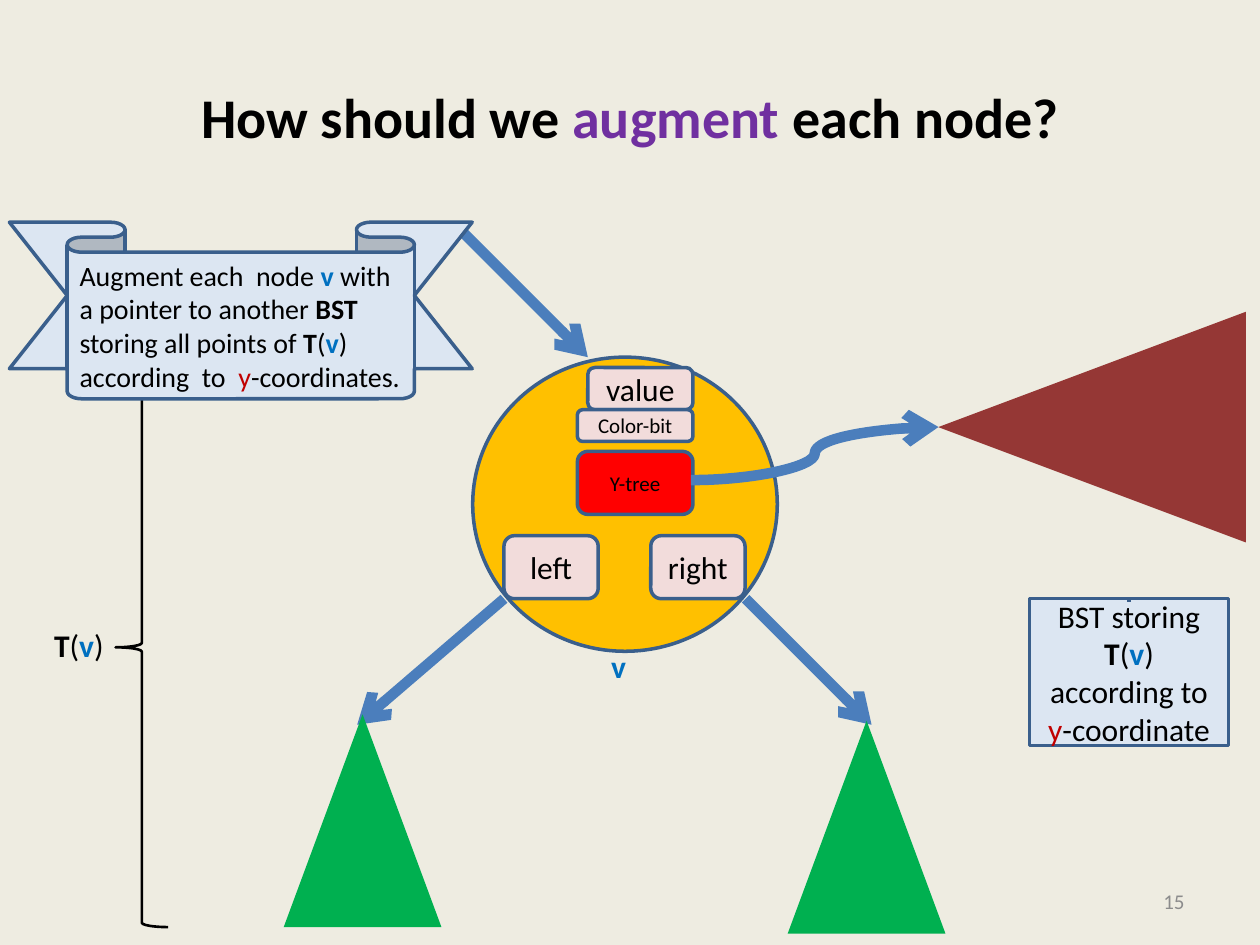
from lxml import etree
from pptx import Presentation
from pptx.dml.color import RGBColor
from pptx.enum.shapes import MSO_CONNECTOR as Connector, MSO_SHAPE as Shape
from pptx.enum.text import MSO_ANCHOR as Anchor, MSO_AUTO_SIZE as AutoSize, PP_ALIGN as Align
from pptx.oxml.ns import qn
from pptx.util import Cm, Pt

BLACK = RGBColor(0x00, 0x00, 0x00)
GRAY = RGBColor(0x8C, 0x8C, 0x8C)
BEIGE = RGBColor(0xEE, 0xEC, 0xE1)
PURPLE = RGBColor(0x70, 0x30, 0xA0)
BLUE = RGBColor(0x00, 0x70, 0xC0)
DARK_RED = RGBColor(0xC0, 0x00, 0x00)
GOLD = RGBColor(0xFF, 0xC0, 0x00)
PINK = RGBColor(0xF2, 0xDC, 0xDB)
RED = RGBColor(0xFF, 0x00, 0x00)
GREEN = RGBColor(0x00, 0xB0, 0x50)
MAROON = RGBColor(0x95, 0x37, 0x35)
PALE_BLUE = RGBColor(0xDC, 0xE6, 0xF2)
OUTLINE = RGBColor(0x3A, 0x5F, 0x8C)
ARROW = RGBColor(0x4B, 0x7E, 0xBC)

# Runs for the notation T(v): text, colour, bold
SUBTREE = [("T", BLACK, True), ("(", BLACK, False), ("v", BLUE, True)]


def write_text(shape, runs, size=18, align=Align.CENTER, anchor=Anchor.MIDDLE, wrap=True):
    """Fill a shape with one paragraph; runs is a string or (text, colour, bold) tuples."""
    frame = shape.text_frame
    frame.word_wrap = wrap
    frame.auto_size = AutoSize.NONE if wrap else AutoSize.SHAPE_TO_FIT_TEXT
    frame.vertical_anchor = anchor
    paragraph = frame.paragraphs[0]
    paragraph.alignment = align
    if isinstance(runs, str):
        runs = [(runs, BLACK, False)]
    for text, color, bold in runs:
        run = paragraph.add_run()
        run.text = text
        run.font.name = "Calibri"
        run.font.size = Pt(size)
        run.font.bold = bold
        run.font.color.rgb = color


def add_box(slide, kind, left, top, width, height, fill=None, line=OUTLINE, weight=2):
    shape = slide.shapes.add_shape(kind, Cm(left), Cm(top), Cm(width), Cm(height))
    shape.shadow.inherit = False
    if fill is None:
        shape.fill.background()
    else:
        shape.fill.solid()
        shape.fill.fore_color.rgb = fill
    if line is None:
        shape.line.fill.background()
    else:
        shape.line.color.rgb = line
        shape.line.width = Pt(weight)
    return shape


def add_label(slide, left, top, width, height, runs, **text_format):
    box = slide.shapes.add_textbox(Cm(left), Cm(top), Cm(width), Cm(height))
    write_text(box, runs, **text_format)


def add_arrow(slide, start, end, kind=Connector.STRAIGHT):
    points = [Cm(value) for value in (*start, *end)]
    connector = slide.shapes.add_connector(kind, *points)
    connector.line.color.rgb = ARROW
    connector.line.width = Pt(6)
    etree.SubElement(connector.line._get_or_add_ln(), qn("a:tailEnd"), type="arrow")
    etree.SubElement(connector._element.spPr, qn("a:effectLst"))


def add_title(slide):
    title = slide.shapes.title
    title.left, title.top, title.width, title.height = Cm(1.27), Cm(0.76), Cm(22.86), Cm(3.18)
    write_text(title, [("How should we ", BLACK, True), ("augment", PURPLE, True),
                       (" each node?", BLACK, True)], size=32)


def add_node(slide):
    """Draw node v with its fields and the arrows leaving it."""
    add_box(slide, Shape.OVAL, 9.53, 7.2, 6.14, 5.93, GOLD)
    fields = [
        ("left", 10.16, 10.8, 1.9, 1.27, PINK, 18),
        ("right", 13.12, 10.8, 1.9, 1.27, PINK, 18),
        ("value", 11.85, 7.41, 2.12, 0.85, PINK, 18),
        ("Color-bit", 11.64, 8.26, 2.33, 0.64, PINK, 12),
        ("Y-tree", 11.64, 9.1, 2.33, 1.27, RED, 12),
    ]
    for text, left, top, width, height, fill, size in fields:
        field = add_box(slide, Shape.ROUNDED_RECTANGLE, left, top, width, height, fill)
        write_text(field, text, size=size)
    add_label(slide, 12.07, 12.91, 0.81, 1.02, [("v", BLUE, True)],
              align=Align.LEFT, anchor=Anchor.TOP, wrap=False)


def add_subtrees(slide):
    # Child arrows and child subtrees
    add_arrow(slide, (15.03, 12.07), (17.57, 14.61))
    add_arrow(slide, (10.16, 12.07), (7.2, 14.61))
    for left, top in ((5.72, 14.4), (15.88, 14.53)):
        add_box(slide, Shape.ISOSCELES_TRIANGLE, left, top, 3.18, 4.29, GREEN, line=None)
    # Tree ordered by y, reached from the Y-tree field
    y_tree = add_box(slide, Shape.ISOSCELES_TRIANGLE, 19.69, 5.51, 4.65, 6.2, MAROON, line=None)
    y_tree.rotation = 270
    add_arrow(slide, (13.93, 9.68), (18.92, 8.61), Connector.CURVE)


def add_notes(slide):
    # Callout under the y-ordered tree
    callout = add_box(slide, Shape.LINE_CALLOUT_1, 20.75, 12.07, 4.02, 2.96, PALE_BLUE)
    for index, value in enumerate((0.02, 0.5, -0.01, 0.5)):
        callout.adjustments[index] = value
    write_text(callout, [("BST storing ", BLACK, False), *SUBTREE,
                         (") according to ", BLACK, False), ("y", DARK_RED, False),
                         ("-coordinate", BLACK, False)])

    # Brace marking the extent of T(v)
    add_box(slide, Shape.LEFT_BRACE, 2.33, 7.41, 1.06, 11.28, line=BLACK, weight=1.5)
    add_label(slide, 0.84, 12.5, 1.52, 1.02, [*SUBTREE, (")", BLACK, False)],
              align=Align.LEFT, anchor=Anchor.TOP, wrap=False)

    # Ribbon explaining the extra pointer
    ribbon = add_box(slide, Shape.DOWN_RIBBON, 0.19, 4.48, 9.33, 3.56, PALE_BLUE)
    ribbon.adjustments[0] = 0.17
    ribbon.adjustments[1] = 0.75
    write_text(ribbon, [("Augment each  node ", BLACK, False), ("v ", BLUE, True),
                        ("with a pointer to another ", BLACK, False), ("BST", BLACK, True),
                        (" storing all points of ", BLACK, False), *SUBTREE,
                        (") according  to  ", BLACK, False), ("y", DARK_RED, False),
                        ("-coordinates.", BLACK, False)], size=16, align=Align.LEFT)


def main():
    presentation = Presentation()
    presentation.slide_width, presentation.slide_height = Cm(25.4), Cm(19.05)
    slide = presentation.slides.add_slide(presentation.slide_layouts[5])
    slide.background.fill.solid()
    slide.background.fill.fore_color.rgb = BEIGE

    add_title(slide)
    add_label(slide, 18.2, 17.66, 5.93, 1.01, [("15", GRAY, False)], size=12, align=Align.RIGHT)
    add_node(slide)
    add_arrow(slide, (9.31, 4.66), (11.85, 7.2))
    add_subtrees(slide)
    add_notes(slide)
    presentation.save("out.pptx")


if __name__ == "__main__":
    main()
